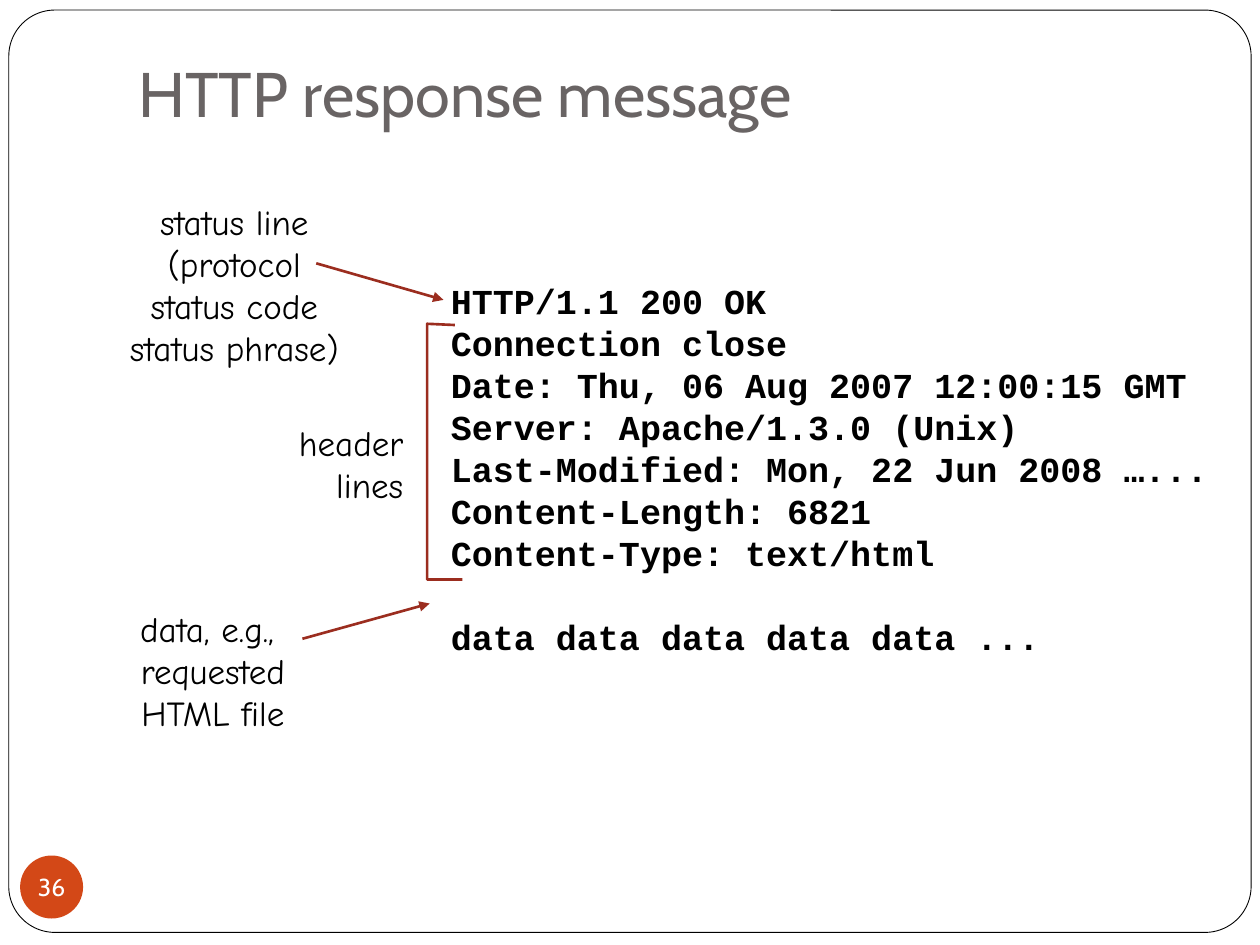
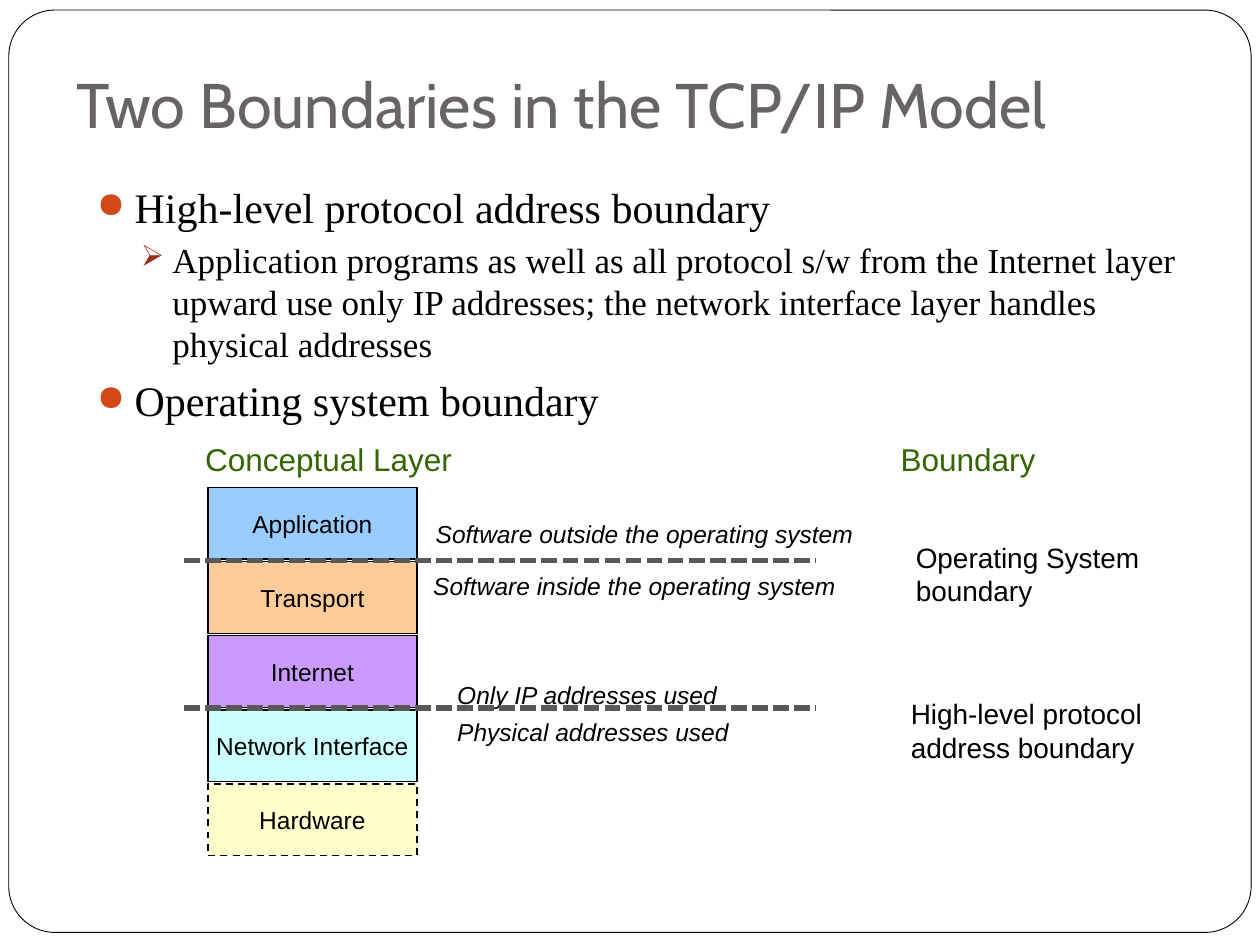
from lxml import etree
from pptx import Presentation
from pptx.dml.color import RGBColor
from pptx.enum import dml, shapes, text
from pptx.oxml import ns
from pptx.util import Inches, Pt

COLORS = {
    "paper": "FFFFFF",
    "ink": "000000",
    "title": "696464",
    "accent": "D34817",
    "callout": "9B2D1F",
    "heading": "336600",
    "boundary": "595959",
    "application": "99CCFF",
    "transport": "FFCC99",
    "internet": "CC99FF",
    "interface": "CCFFFF",
    "hardware": "FFFF99",
}
LEFT, CENTER, RIGHT = text.PP_ALIGN.LEFT, text.PP_ALIGN.CENTER, text.PP_ALIGN.RIGHT
TOP, MIDDLE, BOTTOM = text.MSO_ANCHOR.TOP, text.MSO_ANCHOR.MIDDLE, text.MSO_ANCHOR.BOTTOM
SHAPE = shapes.MSO_SHAPE
DASH = dml.MSO_LINE.DASH
DOTS = dml.MSO_LINE.SQUARE_DOT


def rgb(name):
    return RGBColor.from_string(COLORS[name])


def child(parent, tag, **attributes):
    return etree.SubElement(parent, ns.qn(tag), attributes)


def set_font(paragraph, face, size, color="ink", bold=False, italic=False):
    font = paragraph.font
    font.name, font.size = face, Pt(size)
    font.bold, font.italic = bold, italic
    font.color.rgb = rgb(color)


def write(shape, lines, face, size, color="ink", align=LEFT, anchor=TOP, wrap=False, **style):
    frame = shape.text_frame
    frame.word_wrap = wrap
    frame.vertical_anchor = anchor
    for index, line in enumerate(lines):
        paragraph = frame.paragraphs[0] if index == 0 else frame.add_paragraph()
        paragraph.text = line
        paragraph.alignment = align
        if len(lines) > 1:
            paragraph.line_spacing = Pt(size * 1.2)
        set_font(paragraph, face, size, color, **style)
    return frame


def add_text(slide, box, lines, face, size, **style):
    label = slide.shapes.add_textbox(*map(Inches, box))
    return write(label, lines, face, size, **style)


def add_box(slide, kind, box, fill, line=None, width=1, dash=None):
    shape = slide.shapes.add_shape(kind, *map(Inches, box))
    shape.shadow.inherit = False
    shape.fill.solid()
    shape.fill.fore_color.rgb = rgb(fill)
    if line:
        style_line(shape.line, line, width, dash)
    else:
        shape.line.fill.background()
    return shape


def style_line(line, color, width, dash=None):
    line.color.rgb = rgb(color)
    line.width = Pt(width)
    if dash:
        line.dash_style = dash


def add_line(slide, start, end, color, width, dash=None, arrow=False):
    points = map(Inches, (*start, *end))
    connector = slide.shapes.add_connector(shapes.MSO_CONNECTOR.STRAIGHT, *points)
    style_line(connector.line, color, width, dash)
    if arrow:
        child(connector.line._get_or_add_ln(), "a:tailEnd", type="triangle")
    child(connector._element.spPr, "a:effectLst")


def add_bracket(slide, points, color, width):
    start, *rest = [tuple(map(Inches, point)) for point in points]
    builder = slide.shapes.build_freeform(*start)
    builder.add_line_segments(rest, close=False)
    bracket = builder.convert_to_shape()
    bracket.shadow.inherit = False
    bracket.fill.background()
    style_line(bracket.line, color, width)


def add_slide(deck, title, title_box, bottom_inset):
    slide = deck.slides.add_slide(deck.slide_layouts[6])
    frame = add_box(slide, SHAPE.ROUNDED_RECTANGLE, (0.07, 0.08, 9.86, 7.32), "paper", "ink", 0.5)
    frame.adjustments[0] = 0.05
    heading = add_text(slide, title_box, [title], "Cabin", 36, color="title", anchor=BOTTOM, wrap=True)
    heading.margin_bottom = Inches(bottom_inset)
    return slide


def add_page_number(slide, number):
    badge = add_box(slide, SHAPE.OVAL, (0.16, 6.79, 0.5, 0.5), "accent")
    frame = write(badge, [number], "Cabin", 14, color="paper", align=CENTER, anchor=MIDDLE)
    frame.margin_left = frame.margin_right = frame.margin_top = frame.margin_bottom = 0


def add_bullets(slide, box, items):
    levels = [
        dict(mark="●", color="accent", size=24, indent=0.3, hang=0.3, before=5.8),
        dict(mark="➢", color="callout", size=20, indent=0.6, hang=0.25, before=3.7),
    ]
    frame = slide.shapes.add_textbox(*map(Inches, box)).text_frame
    frame.word_wrap = True
    for index, (level, line) in enumerate(items):
        look = levels[level]
        paragraph = frame.paragraphs[0] if index == 0 else frame.add_paragraph()
        paragraph.text = line
        paragraph.level = level
        properties = paragraph._p.get_or_add_pPr()
        properties.set("marL", str(Inches(look["indent"])))
        properties.set("indent", str(-Inches(look["hang"])))
        child(child(properties, "a:buClr"), "a:srgbClr", val=COLORS[look["color"]])
        child(properties, "a:buSzPct", val="85000")
        child(properties, "a:buChar", char=look["mark"])
        paragraph.line_spacing = Pt(look["size"] * 1.2)
        if index:
            paragraph.space_before = Pt(look["before"])
        set_font(paragraph, "Times New Roman", look["size"])


def add_layers(slide):
    layers = [
        ("Application", "application"),
        ("Transport", "transport"),
        ("Internet", "internet"),
        ("Network Interface", "interface"),
        ("Hardware", "hardware"),
    ]
    for index, (name, fill) in enumerate(layers):
        physical = fill == "hardware"
        box = (1.65, 3.87 + index * 2.35 / 4, 1.66, 0.57)
        layer = add_box(slide, SHAPE.RECTANGLE, box, fill, "ink", 1, DASH if physical else None)
        if physical:
            tint = layer._element.spPr.find(ns.qn("a:solidFill"))[0]
            child(tint, "a:alpha", val="50000")
        write(layer, [name], "Arial", 14, align=CENTER, anchor=MIDDLE)


def build_response(deck):
    slide = add_slide(deck, "HTTP response message", (1, 0.25, 8.5, 0.88), 0.1)
    add_page_number(slide, "36")
    response = [
        "HTTP/1.1 200 OK",
        "Connection close",
        "Date: Thu, 06 Aug 2007 12:00:15 GMT",
        "Server: Apache/1.3.0 (Unix)",
        "Last-Modified: Mon, 22 Jun 2008 …...",
        "Content-Length: 6821",
        "Content-Type: text/html",
        "data data data data data ...",
    ]
    message = add_text(slide, (3.48, 2.17, 6.37, 3.1), response, "Courier New", 20, bold=True)
    message.paragraphs[-1].space_before = Pt(24)

    callouts = [
        ((0.82, 1.54, 2.08, 1.43), CENTER,
         ["status line", "(protocol", "status code", "status phrase)"]),
        ((2.19, 3.3, 1.11, 0.77), RIGHT, ["header", "lines"]),
        ((0.92, 4.77, 1.54, 1.1), CENTER, ["data, e.g., ", "requested", "HTML file"]),
    ]
    for box, align, lines in callouts:
        add_text(slide, box, lines, "Comic Neue", 20, align=align)
    for start, end in [((2.51, 2.09), (3.52, 2.38)), ((2.4, 5.07), (3.41, 4.79))]:
        add_line(slide, start, end, "callout", 1.5, arrow=True)
    add_bracket(slide, [(3.61, 2.58), (3.39, 2.57), (3.39, 4.6), (3.67, 4.6)], "callout", 1.5)


def build_boundaries(deck):
    slide = add_slide(deck, "Two Boundaries in the TCP/IP Model", (0.51, 0.36, 8.74, 0.81), 0.05)
    add_bullets(slide, (0.67, 1.39, 8.82, 5.43), [
        (0, "High-level protocol address boundary"),
        (1, "Application programs as well as all protocol s/w from the Internet layer "
            "upward use only IP addresses; the network interface layer handles physical addresses"),
        (0, "Operating system boundary"),
    ])
    notes = [
        ((3.36, 4.07, 3.76, 0.33), "Software outside the operating system"),
        ((3.34, 4.48, 3.64, 0.33), "Software inside the operating system"),
        ((3.53, 5.35, 2.39, 0.33), "Only IP addresses used"),
        ((3.53, 5.64, 2.51, 0.33), "Physical addresses used"),
    ]
    for box, note in notes:
        write(add_box(slide, SHAPE.RECTANGLE, box, "paper"), [note], "Arial", 14, italic=True)
    headings = [
        ((1.53, 3.44, 2.3, 0.4), "Conceptual Layer"),
        ((7.05, 3.44, 1.37, 0.4), "Boundary"),
    ]
    for box, heading in headings:
        write(add_box(slide, SHAPE.RECTANGLE, box, "paper"), [heading], "Arial", 18, color="heading")
    add_layers(slide)
    for y in (4.45, 5.62):
        add_line(slide, (1.46, y), (6.47, y), "boundary", 3, DOTS)
    boundaries = [
        ((7.17, 4.24, 2.1, 0.64), ["Operating System", "boundary"]),
        ((7.13, 5.48, 2.28, 0.64), ["High-level protocol", "address boundary"]),
    ]
    for box, lines in boundaries:
        add_text(slide, box, lines, "Arial", 16, wrap=True)


def main():
    deck = Presentation()
    deck.slide_width, deck.slide_height = Inches(10), Inches(7.5)
    build_response(deck)
    build_boundaries(deck)
    deck.save("out.pptx")


if __name__ == "__main__":
    main()
